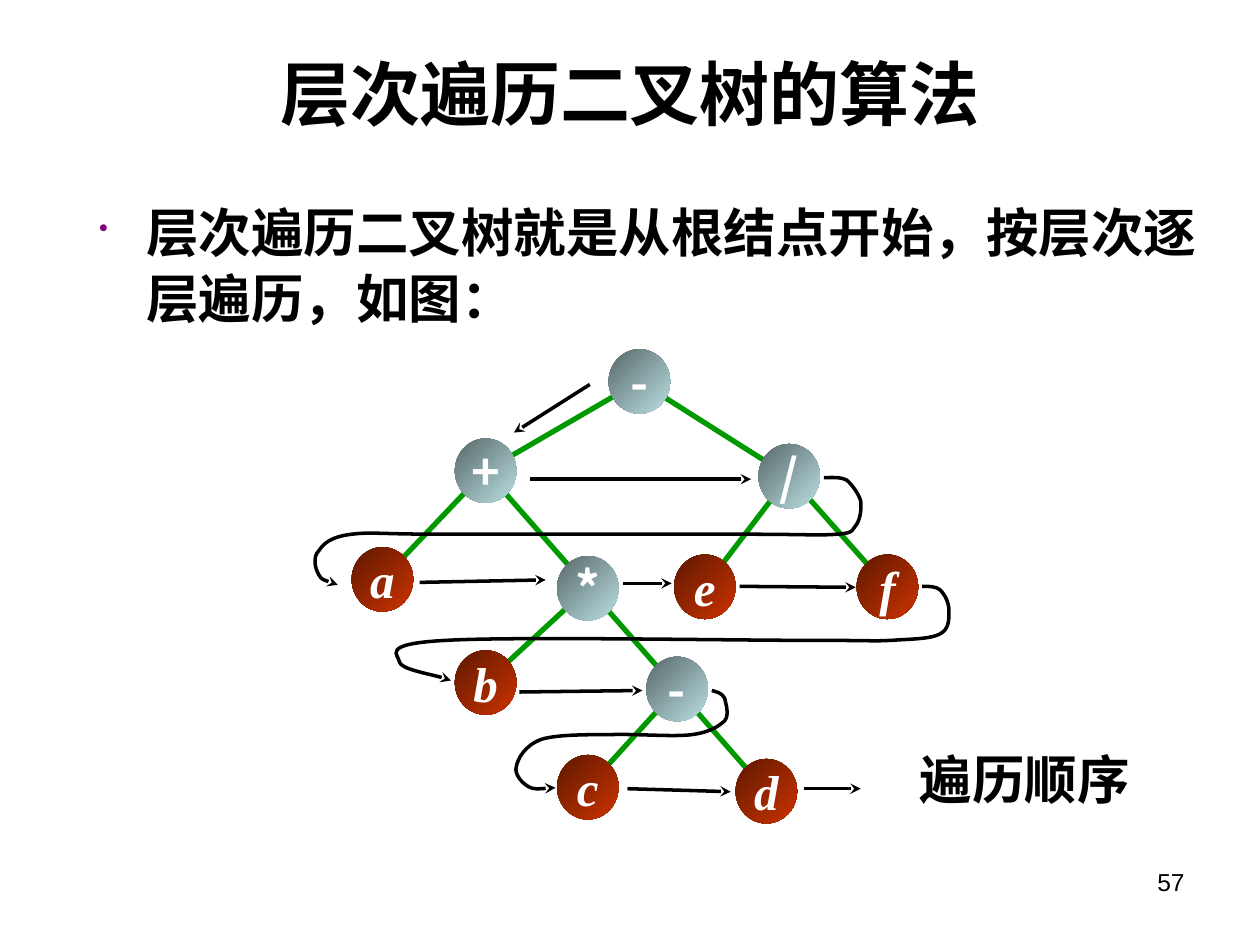
from dataclasses import dataclass
from math import hypot

from lxml.etree import SubElement
from pptx import Presentation
from pptx.dml.color import RGBColor
from pptx.enum.shapes import MSO_CONNECTOR, MSO_SHAPE
from pptx.enum.text import MSO_ANCHOR, PP_ALIGN
from pptx.oxml.ns import qn
from pptx.util import Cm, Pt


@dataclass(frozen=True)
class Theme:
    ink: str = "000000"
    pale: str = "FFFFFF"
    edge: str = "009900"
    dot: str = "800080"
    inner: tuple = ("576869", "BBE0E3")
    leaf: tuple = ("5E1800", "CC3300")
    sans: str = "Arial"
    serif: str = "Times New Roman"
    sign: str = "Noto Sans CJK SC"
    head: int = 40
    body: int = 30
    node: int = 28
    foot: int = 14


THEME = Theme()
WIDE, HIGH = 1.24, 1.3
TRIM = 0.45

NODES = {
    "root": ("-", 5.97, 0), "plus": ("+", 2.87, 1.8),
    "slash": ("/", 8.99, 1.91), "star": ("*", 4.93, 4.17),
    "minus": ("-", 6.73, 6.2), "a": ("a", 0.79, 3.99),
    "b": ("b", 2.87, 6.07), "c": ("c", 4.93, 8.18),
    "d": ("d", 8.53, 8.26), "e": ("e", 7.29, 4.14),
    "f": ("f", 10.97, 4.14),
}
EDGES = [
    ("root", "plus"), ("plus", "a"), ("plus", "d"), ("star", "b"),
    ("minus", "c"), ("slash", "e"), ("root", "slash"), ("slash", "f"),
]
STEPS = [
    ((5.59, 0.71), (4.06, 1.68)), ((4.39, 2.62), (8.84, 2.62)),
    ((2.16, 4.7), (4.7, 4.65)), ((6.25, 4.72), (7.24, 4.72)),
    ((8.61, 4.78), (10.95, 4.8)), ((4.17, 6.91), (6.65, 6.88)),
    ((6.35, 8.86), (8.43, 8.92)), ((9.91, 8.86), (11.05, 8.86)),
]
TURNS = [
    [(10.31, 2.59),
     (10.46, 2.59), (10.64, 2.57), (10.77, 2.64),
     (10.87, 2.72), (11, 2.9), (11.05, 3.05),
     (11.07, 3.2), (11.05, 3.4), (10.97, 3.53),
     (10.87, 3.63), (10.95, 3.71), (10.57, 3.73),
     (10.19, 3.76), (9.98, 3.73), (8.66, 3.73),
     (7.34, 3.73), (3.94, 3.73), (2.62, 3.73),
     (1.3, 3.73), (1.22, 3.68), (0.79, 3.73),
     (0.38, 3.78), (0.23, 3.91), (0.13, 4.06),
     (0, 4.19), (0.05, 4.42), (0.13, 4.55),
     (0.18, 4.65), (0.41, 4.72), (0.51, 4.75)],
    [(12.29, 4.78),
     (12.42, 4.78), (12.57, 4.78), (12.65, 4.85),
     (12.75, 4.95), (12.83, 5.11), (12.83, 5.26),
     (12.83, 5.41), (12.85, 5.64), (12.65, 5.74),
     (12.47, 5.84), (12.12, 5.84), (11.66, 5.87),
     (11.2, 5.89), (11.48, 5.87), (9.98, 5.87),
     (8.48, 5.87), (4.06, 5.79), (2.69, 5.87),
     (1.32, 5.94), (1.75, 6.17), (1.75, 6.3),
     (1.78, 6.45), (2.64, 6.6), (2.79, 6.68)],
    [(8.05, 6.88),
     (8.15, 6.91), (8.26, 6.93), (8.31, 7.04),
     (8.33, 7.14), (8.41, 7.37), (8.31, 7.49),
     (8.2, 7.59), (8.03, 7.72), (7.65, 7.77),
     (7.26, 7.82), (6.53, 7.75), (5.99, 7.77),
     (5.49, 7.77), (4.9, 7.77), (4.6, 7.87),
     (4.27, 8), (4.14, 8.26), (4.11, 8.41),
     (4.06, 8.56), (4.22, 8.74), (4.34, 8.81),
     (4.47, 8.89), (4.83, 8.84), (4.9, 8.84)],
]


def style(para, face, size, color=THEME.ink, bold=True, slant=False):
    font = para.font
    font.name, font.size = face, Pt(size)
    font.bold, font.italic = bold, slant
    font.color.rgb = RGBColor.from_string(color)


def write(slide, box, text, face, size, align=PP_ALIGN.LEFT, bold=True):
    frame = slide.shapes.add_textbox(*map(Cm, box)).text_frame
    frame.word_wrap = True
    para = frame.paragraphs[0]
    para.text, para.alignment = text, align
    style(para, face, size, bold=bold)
    return frame


def title(slide, box):
    frame = write(slide, box, "层次遍历二叉树的算法", THEME.sans, THEME.head,
                  PP_ALIGN.CENTER)
    frame.vertical_anchor = MSO_ANCHOR.MIDDLE


def body(slide, box):
    text = "层次遍历二叉树就是从根结点开始，按层次逐层遍历，如图："
    frame = write(slide, box, text, THEME.serif, THEME.body)
    para = frame.paragraphs[0]
    para.line_spacing = 1.05
    props = para._p.get_or_add_pPr()
    props.set("marL", str(Cm(0.95)))
    props.set("indent", str(Cm(-0.95)))
    rest = props.find(qn("a:defRPr"))
    props.remove(rest)
    tint = SubElement(props, qn("a:buClr"))
    SubElement(tint, qn("a:srgbClr"), val=THEME.dot)
    SubElement(props, qn("a:buSzPct"), val="50000")
    SubElement(props, qn("a:buChar"), char="•")
    props.append(rest)


def ink(shape, color, width, arrow=False):
    shape.line.color.rgb = RGBColor.from_string(color)
    shape.line.width = Pt(width)
    if arrow:
        SubElement(shape.line._get_or_add_ln(), qn("a:tailEnd"), type="stealth")


def line(group, start, end, color, width, arrow=False):
    link = group.shapes.add_connector(
        MSO_CONNECTOR.STRAIGHT, *map(Cm, (*start, *end)))
    ink(link, color, width, arrow)
    SubElement(link._element.spPr, qn("a:effectLst"))


def curve(group, points):
    spots = [(Cm(x), Cm(y)) for x, y in points]
    build = group.shapes.build_freeform(*spots[0])
    build.add_line_segments(spots[1:], close=False)
    shape = build.convert_to_shape()
    shape.shadow.inherit = False
    shape.fill.background()
    ink(shape, THEME.ink, 2, True)
    track = next(shape._element.iter(qn("a:path")))
    parts = track.findall(qn("a:lnTo"))
    for i in range(0, len(parts), 3):
        bend = SubElement(track, qn("a:cubicBezTo"))
        for part in parts[i:i + 3]:
            bend.append(part[0])
            track.remove(part)


def node(group, left, top, text):
    leaf = text.isalpha()
    ball = group.shapes.add_shape(
        MSO_SHAPE.OVAL, *map(Cm, (left, top, WIDE, HIGH)))
    ball.shadow.inherit = False
    ball.line.fill.background()
    ball.fill.gradient()
    ball.fill.gradient_angle = 315
    for stop, color in zip(ball.fill.gradient_stops,
                           THEME.leaf if leaf else THEME.inner):
        stop.color.rgb = RGBColor.from_string(color)
    frame = ball.text_frame
    frame.word_wrap = False
    frame.margin_left = frame.margin_right = 0
    frame.margin_top = frame.margin_bottom = 0
    frame.vertical_anchor = MSO_ANCHOR.MIDDLE
    para = frame.paragraphs[0]
    para.text, para.alignment = text, PP_ALIGN.CENTER
    style(para, THEME.serif if leaf else THEME.sign, THEME.node, THEME.pale,
          slant=leaf)


def tree(slide, box):
    left, top = box
    group = slide.shapes.add_group_shape()

    def place(point):
        return left + point[0], top + point[1]

    def mid(name):
        _, x, y = NODES[name]
        return place((x + WIDE / 2, y + HIGH / 2))

    for upper, lower in EDGES:
        (ax, ay), (bx, by) = mid(upper), mid(lower)
        part = TRIM / hypot(bx - ax, by - ay)
        dx, dy = (bx - ax) * part, (by - ay) * part
        line(group, (ax + dx, ay + dy), (bx - dx, by - dy), THEME.edge, 3)
    for text, x, y in NODES.values():
        node(group, *place((x, y)), text)
    for start, end in STEPS:
        line(group, place(start), place(end), THEME.ink, 2, True)
    for points in TURNS:
        curve(group, [place(point) for point in points])


def main():
    deck = Presentation()
    deck.slide_width, deck.slide_height = Cm(25.4), Cm(19.05)
    slide = deck.slides.add_slide(deck.slide_layouts[6])
    title(slide, (1.27, 0.76, 22.86, 2.2))
    body(slide, (1.75, 3.84, 22.86, 10.8))
    tree(slide, (6.3, 7.04))
    write(slide, (18.29, 14.94, 5.72, 1.52), "遍历顺序", THEME.serif, THEME.body)
    write(slide, (18.21, 17.35, 5.92, 1.32), "57", THEME.sans, THEME.foot,
          PP_ALIGN.RIGHT, False)
    deck.save("out.pptx")


if __name__ == "__main__":
    main()
